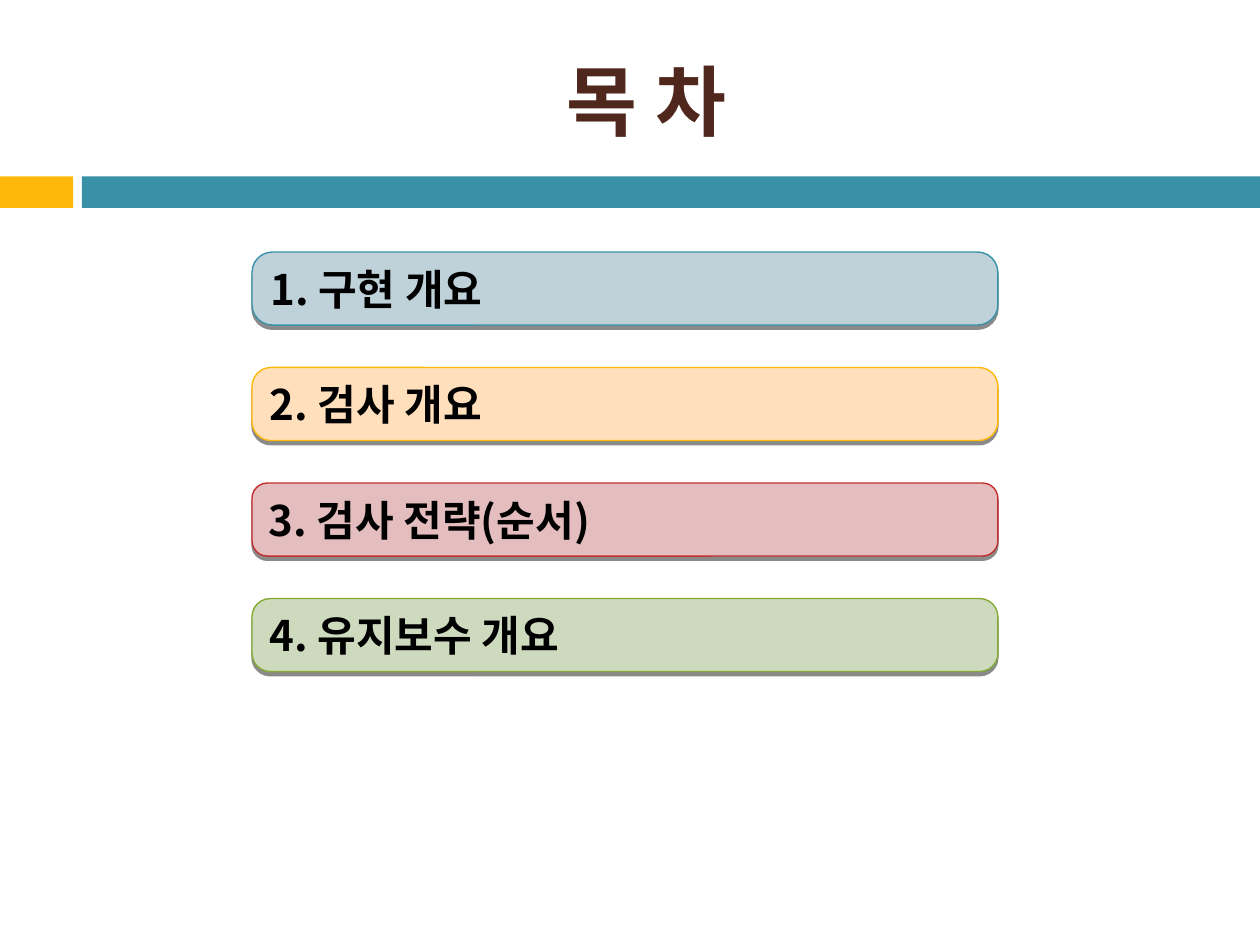
from lxml import etree
from pptx import Presentation
from pptx.dml.color import RGBColor
from pptx.enum.shapes import MSO_SHAPE
from pptx.enum.text import MSO_ANCHOR, PP_ALIGN
from pptx.oxml.ns import qn
from pptx.util import Inches, Pt

RECTANGLE = MSO_SHAPE.RECTANGLE
ROUNDED = MSO_SHAPE.ROUNDED_RECTANGLE
MIDDLE = MSO_ANCHOR.MIDDLE
LEFT, CENTER = PP_ALIGN.LEFT, PP_ALIGN.CENTER

FONT = "Noto Sans CJK KR"
BLACK = RGBColor(0x00, 0x00, 0x00)
BROWN = RGBColor(0x4F, 0x27, 0x1C)
TEAL = RGBColor(0x38, 0x91, 0xA7)
AMBER = RGBColor(0xFE, 0xB8, 0x0A)
RED = RGBColor(0xC3, 0x2D, 0x2E)
GREEN = RGBColor(0x84, 0xAA, 0x33)
PALE_TEAL = RGBColor(0xBF, 0xD2, 0xD9)
PALE_AMBER = RGBColor(0xFF, 0xDF, 0xBC)
PALE_RED = RGBColor(0xE4, 0xBE, 0xBE)
PALE_GREEN = RGBColor(0xCE, 0xDA, 0xBE)

CHAPTERS = [
    ("1. 구현 개요", PALE_TEAL, TEAL, 0.28),
    ("2. 검사 개요", PALE_AMBER, AMBER, 0.26),
    ("3. 검사 전략(순서)", PALE_RED, RED, 0.21),
    ("4. 유지보수 개요", PALE_GREEN, GREEN, 0.25),
]
FIRST_TOP = 2
CHAPTER_PITCH = 2.75 / 3


def write_text(holder, text, size, color, align):
    frame = holder.text_frame
    frame.word_wrap = True
    frame.vertical_anchor = MIDDLE
    paragraph = frame.paragraphs[0]
    paragraph.text = text
    paragraph.alignment = align
    font = paragraph.font
    font.name = FONT
    font.size = Pt(size)
    font.bold = True
    font.color.rgb = color
    defaults = paragraph._p.pPr.find(qn("a:defRPr"))
    etree.SubElement(defaults, qn("a:ea"), typeface=FONT)


def add_title(slide, text):
    title = slide.shapes.add_textbox(
        Inches(0.67), Inches(0.25), Inches(8.92), Inches(1.08))
    write_text(title, text, 44, BROWN, CENTER)


def add_band(slide, left, width, color):
    band = slide.shapes.add_shape(
        RECTANGLE, Inches(left), Inches(1.4), Inches(width), Inches(0.25))
    band.shadow.inherit = False
    band.fill.solid()
    band.fill.fore_color.rgb = color
    band.line.fill.background()


def add_drop_shadow(shape):
    shape.shadow.inherit = False
    effects = shape._element.spPr.find(qn("a:effectLst"))
    shadow = etree.SubElement(
        effects, qn("a:outerShdw"), blurRad="0", dist=str(Pt(2.4)),
        dir="5400000", rotWithShape="0")
    shade = etree.SubElement(shadow, qn("a:srgbClr"), val=str(BLACK))
    etree.SubElement(shade, qn("a:alpha"), val="45000")


def add_chapter(slide, top, text, fill, outline, rounding):
    chapter = slide.shapes.add_shape(
        ROUNDED, Inches(2), Inches(top), Inches(5.92), Inches(0.58))
    chapter.adjustments[0] = rounding
    chapter.fill.solid()
    chapter.fill.fore_color.rgb = fill
    chapter.line.color.rgb = outline
    chapter.line.width = Pt(0.79)
    add_drop_shadow(chapter)
    write_text(chapter, text, 24, BLACK, LEFT)


def main():
    deck = Presentation()
    deck.slide_width = Inches(10)
    deck.slide_height = Inches(7.5)
    slide = deck.slides.add_slide(deck.slide_layouts[6])
    add_band(slide, 0, 0.58, AMBER)
    add_band(slide, 0.65, 9.35, TEAL)
    add_title(slide, "목 차")
    for index, chapter in enumerate(CHAPTERS):
        add_chapter(slide, FIRST_TOP + index * CHAPTER_PITCH, *chapter)
    deck.save("out.pptx")


if __name__ == "__main__":
    main()
